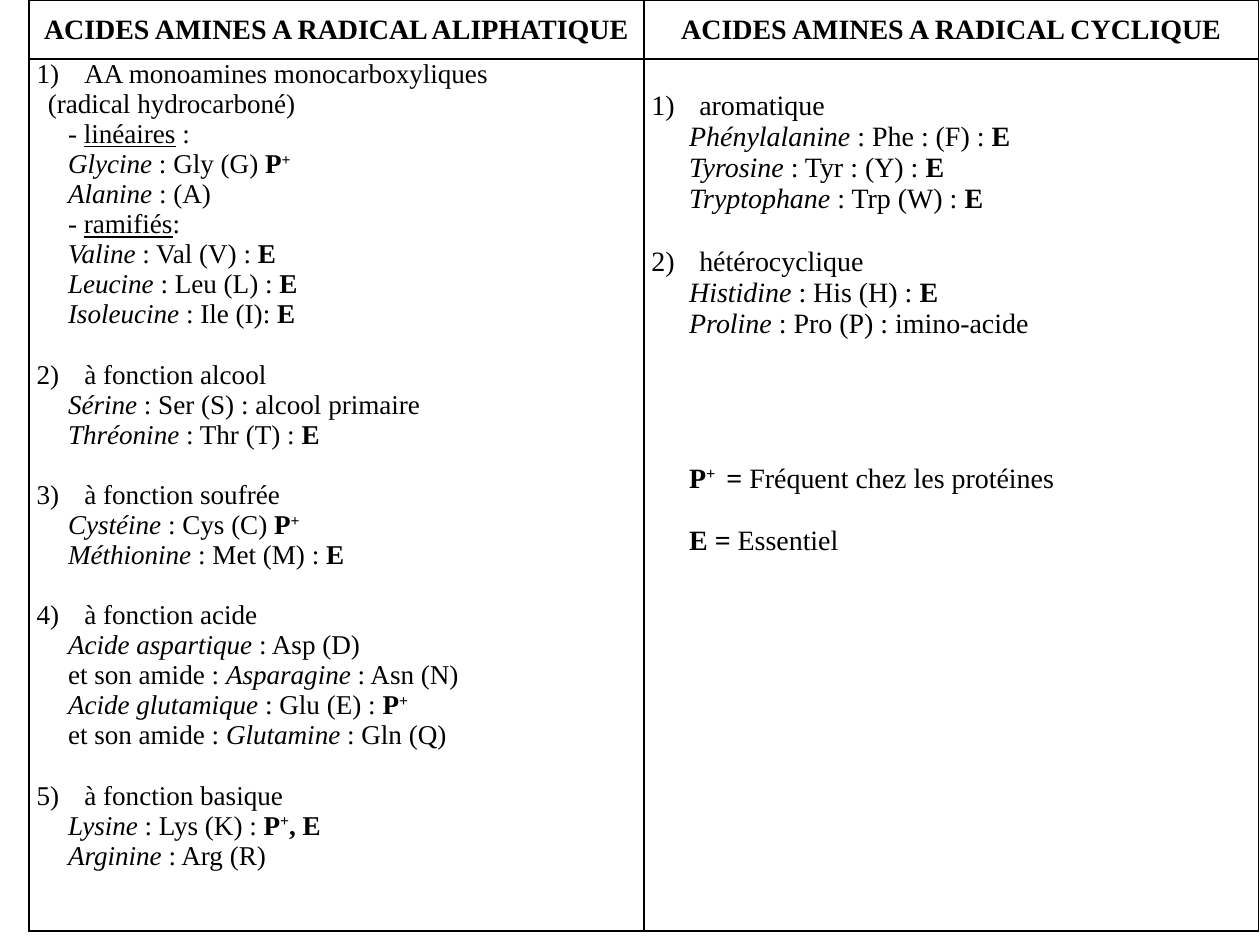
"""Build a slide that classifies the amino acids by type of radical."""
import dataclasses

import pptx
import pptx.dml.color
import pptx.enum.text
import pptx.oxml
import pptx.util
from pptx.util import Inches


@dataclasses.dataclass(frozen=True)
class Theme:
    """Colours, font and type sizes of the slide."""

    ink: str = "000000"
    paper: str = "FFFFFF"
    font: str = "Times New Roman"
    header_size: float = 16
    aliphatic_size: float = 15.5
    cyclic_size: float = 16
    line_height: float = 1.107
    border: float = 1


@dataclasses.dataclass(frozen=True)
class Line:
    """One paragraph: marked-up text, number, left margin and blank lines above."""

    text: str
    number: int = 0
    margin: float = 0.25
    gap: int = 0


THEME = Theme()
MARKS = {"/": "italic", "*": "bold", "_": "underline", "^": "raised"}
HEADERS = ("ACIDES AMINES A RADICAL ALIPHATIQUE", "ACIDES AMINES A RADICAL CYCLIQUE")


def section(number, title, entries, margin=0.25, gap=1):
    """Return a numbered heading followed by its indented entries."""
    return [Line(title, number, gap=gap)] + [Line(entry, margin=margin) for entry in entries]


ALIPHATIC = [
    Line("AA monoamines monocarboxyliques", 1),
    Line("(radical hydrocarboné)", margin=0.09),
    Line("- _linéaires_ :"),
    Line("/Glycine/ : Gly (G) *P^+^*"),
    Line("/Alanine/ : (A)"),
    Line("- _ramifiés_:"),
    Line("/Valine/ : Val (V) : *E*"),
    Line("/Leucine/ : Leu (L) : *E*"),
    Line("/Isoleucine/ : Ile (I): *E*"),
    *section(2, "à fonction alcool", [
        "/Sérine/ : Ser (S) : alcool primaire",
        "/Thréonine/ : Thr (T) : *E*",
    ]),
    *section(3, "à fonction soufrée", [
        "/Cystéine/ : Cys (C) *P^+^*",
        "/Méthionine/ : Met (M) : *E*",
    ]),
    *section(4, "à fonction acide", [
        "/Acide aspartique/ : Asp (D)",
        "et son amide : /Asparagine/ : Asn (N)",
        "/Acide glutamique/ : Glu (E) : *P^+^*",
        "et son amide : /Glutamine/ : Gln (Q)",
    ]),
    *section(5, "à fonction basique", [
        "/Lysine/ : Lys (K) : *P^+^, E*",
        "/Arginine/ : Arg (R)",
    ]),
]

CYCLIC = [
    *section(1, "aromatique", [
        "/Phénylalanine/ : Phe : (F) : *E*",
        "/Tyrosine/ : Tyr : (Y) : *E*",
        "/Tryptophane/ : Trp (W) : *E*",
    ], margin=0.3, gap=0),
    *section(2, "hétérocyclique", [
        "/Histidine/ : His (H) : *E*",
        "/Proline /: Pro (P) : imino-acide",
    ], margin=0.3),
    Line("*P^+ ^ = *Fréquent chez les protéines", margin=0.3, gap=4),
    Line("*E = *Essentiel", margin=0.3, gap=1),
]


def format_font(font, size):
    """Apply the theme font, ink and a size."""
    font.name = THEME.font
    font.size = pptx.util.Pt(size)
    font.color.rgb = pptx.dml.color.RGBColor.from_string(THEME.ink)


def add_spans(para, text, size):
    """Split marked-up text into formatted runs."""
    styles = dict.fromkeys(MARKS.values(), False)
    pending = ""
    for symbol in text + "\n":
        if symbol not in MARKS and symbol != "\n":
            pending += symbol
            continue
        if pending:
            span = para.add_run()
            span.text = pending
            format_font(span.font, size)
            span.font.bold = styles["bold"]
            span.font.italic = styles["italic"]
            span.font.underline = styles["underline"]
            if styles["raised"]:
                span.font._element.set("baseline", "30000")
            pending = ""
        if symbol in MARKS:
            styles[MARKS[symbol]] = not styles[MARKS[symbol]]


def indent(para, margin, number):
    """Set the left margin, and a hanging number if there is one."""
    properties = para._p.get_or_add_pPr()
    properties.set("marL", str(Inches(0.38 if number else margin)))
    properties.set("indent", str(Inches(-0.38 if number else 0)))
    if number:
        properties.append(pptx.oxml.parse_xml(
            f'<a:buAutoNum {pptx.oxml.ns.nsdecls("a")} type="arabicParenR" startAt="{number}"/>'))


def fill_list(cell, lines, size):
    """Write the lines of one column."""
    frame = cell.text_frame
    for index, line in enumerate(lines):
        para = frame.add_paragraph() if index else frame.paragraphs[0]
        indent(para, line.margin, line.number)
        if line.gap:
            para.space_before = pptx.util.Pt(round(line.gap * size * THEME.line_height, 1))
        format_font(para.font, size)
        add_spans(para, line.text, size)


def fill_header(cell, title):
    """Write a centred bold column title."""
    cell.vertical_anchor = pptx.enum.text.MSO_ANCHOR.MIDDLE
    para = cell.text_frame.paragraphs[0]
    para.alignment = pptx.enum.text.PP_ALIGN.CENTER
    add_spans(para, f"*{title}*", THEME.header_size)


def style_cell(cell):
    """Set margins, fill and the four borders of a cell."""
    cell.margin_left = cell.margin_right = Inches(0.06)
    cell.margin_top = cell.margin_bottom = 0
    cell.fill.solid()
    cell.fill.fore_color.rgb = pptx.dml.color.RGBColor.from_string(THEME.paper)
    properties = cell._tc.get_or_add_tcPr()
    for index, side in enumerate("LRTB"):
        properties.insert(index, pptx.oxml.parse_xml(
            f'<a:ln{side} {pptx.oxml.ns.nsdecls("a")} w="{pptx.util.Pt(THEME.border)}">'
            f'<a:solidFill><a:srgbClr val="{THEME.ink}"/></a:solidFill></a:ln{side}>'))


def add_grid(page):
    """Add the table with its header and body rows."""
    grid = page.shapes.add_table(2, 2, Inches(0.23), 0, Inches(9.76), Inches(7.39)).table
    grid.first_row = grid.horz_banding = False
    for row, height in zip(grid.rows, (0.47, 6.92)):
        row.height = Inches(height)
    for cell in grid.iter_cells():
        style_cell(cell)
    return grid


def main():
    """Build and save the deck."""
    deck = pptx.Presentation()
    deck.slide_width, deck.slide_height = Inches(10), Inches(7.5)
    page = deck.slides.add_slide(deck.slide_layouts[6])
    grid = add_grid(page)
    for column, title in enumerate(HEADERS):
        fill_header(grid.cell(0, column), title)
    fill_list(grid.cell(1, 0), ALIPHATIC, THEME.aliphatic_size)
    fill_list(grid.cell(1, 1), CYCLIC, THEME.cyclic_size)
    grid.cell(1, 1).margin_top = Inches(0.25)
    deck.save("out.pptx")


if __name__ == "__main__":
    main()
